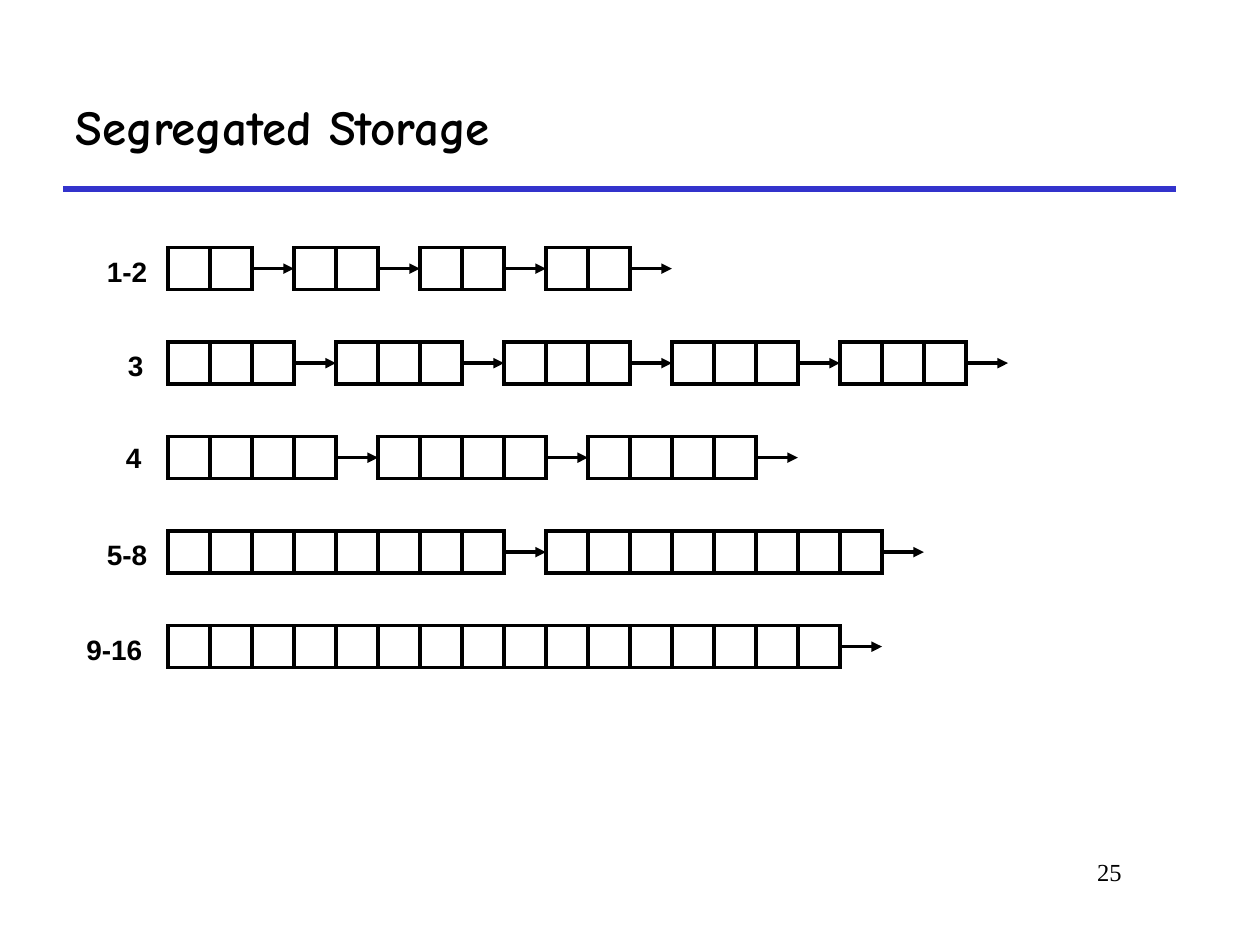
from lxml.etree import SubElement
from pptx import Presentation
from pptx.dml.color import RGBColor
from pptx.enum.shapes import MSO_CONNECTOR, MSO_SHAPE
from pptx.enum.text import MSO_ANCHOR, MSO_AUTO_SIZE, PP_ALIGN
from pptx.oxml.ns import qn
from pptx.util import Pt

BLACK = RGBColor(0x00, 0x00, 0x00)
WHITE = RGBColor(0xFF, 0xFF, 0xFF)
BLUE = RGBColor(0x33, 0x33, 0xCC)

TITLE_FONT = {"name": "Comic Neue", "size": Pt(28), "bold": True}
LABEL_FONT = {"name": "Arial", "size": Pt(16), "bold": True}
NUMBER_FONT = {"name": "Times New Roman", "size": Pt(14)}

CELL = 24
ROW_PITCH = 54
# label, label left, label width, label shift down, cells per block, blocks
SIZE_CLASSES = [
    ("1-2", 54, 37.6, 0.4, 2, 4),
    ("3", 66, 23.4, 0.4, 3, 5),
    ("4", 64.8, 23.4, -1.2, 4, 3),
    ("5-8", 54, 37.6, 0.4, 8, 2),
    ("9-16", 42.2, 46.8, 0.4, 16, 1),
]


def write(sp, text, font, align=PP_ALIGN.LEFT):
    """Put one formatted run into a shape and return its text frame."""
    tf = sp.text_frame
    p = tf.paragraphs[0]
    p.alignment = align
    r = p.add_run()
    r.text = text
    for name, value in font.items():
        setattr(r.font, name, value)
    r.font.color.rgb = BLACK
    return tf


def add_line(s, x1, y1, x2, y2, color, width):
    """Draw a straight connector without shadow."""
    line = s.shapes.add_connector(
        MSO_CONNECTOR.STRAIGHT, Pt(x1), Pt(y1), Pt(x2), Pt(y2))
    line.line.color.rgb = color
    line.line.width = Pt(width)
    SubElement(line._element.spPr, qn("a:effectLst"))
    return line


def add_title(s, left, top, width, height):
    """Place the title and the rule at its lower edge."""
    add_line(s, left, top + height, left + width, top + height, BLUE, 3)
    sp = s.shapes.title
    sp.left, sp.top, sp.width, sp.height = map(Pt, (left, top, width, height))
    tf = write(sp, "Segregated Storage", TITLE_FONT)
    tf.vertical_anchor = MSO_ANCHOR.MIDDLE
    tf.auto_size = MSO_AUTO_SIZE.NONE


def add_label(s, text, left, top, width):
    """Place the size label of one free list."""
    sp = s.shapes.add_textbox(Pt(left), Pt(top), Pt(width), Pt(26.6))
    tf = write(sp, text, LABEL_FONT)
    tf.word_wrap = False
    tf.auto_size = MSO_AUTO_SIZE.SHAPE_TO_FIT_TEXT


def add_block(s, left, top, cells):
    """Draw one block as a run of cells and return its first and last cell."""
    run = []
    for i in range(cells):
        sp = s.shapes.add_shape(
            MSO_SHAPE.RECTANGLE, Pt(left + i * CELL), Pt(top), Pt(CELL), Pt(CELL))
        sp.shadow.inherit = False
        sp.fill.solid()
        sp.fill.fore_color.rgb = WHITE
        sp.line.color.rgb = BLACK
        sp.line.width = Pt(2)
        SubElement(sp.line._get_or_add_ln(), qn("a:miter"), lim="800000")
        run.append(sp)
    return run[0], run[-1]


def add_free_list(s, left, top, cells, blocks):
    """Draw the blocks of one size class, each with an arrow to the next."""
    step = (cells + 1) * CELL
    ends = [add_block(s, left + i * step, top, cells) for i in range(blocks)]
    for i, (_, last) in enumerate(ends):
        x, y = left + (i + 1) * step, top + CELL / 2
        arrow = add_line(s, x - CELL, y, x, y, BLACK, 2)
        SubElement(arrow.line._get_or_add_ln(), qn("a:tailEnd"), type="triangle")
        arrow.begin_connect(last, 3)
        if i + 1 < blocks:
            arrow.end_connect(ends[i + 1][0], 1)


def add_storage(s, left, top):
    """Stack the free lists of all size classes."""
    for i, (text, x, width, shift, cells, blocks) in enumerate(SIZE_CLASSES):
        y = top + i * ROW_PITCH
        add_free_list(s, left, y, cells, blocks)
        add_label(s, text, x, y + shift, width)


def add_page_number(s, left, top, width, height):
    """Place the page number at the lower right."""
    sp = s.shapes.add_textbox(Pt(left), Pt(top), Pt(width), Pt(height))
    write(sp, "25", NUMBER_FONT, PP_ALIGN.RIGHT).word_wrap = True


def main():
    """Build and save the slide."""
    prs = Presentation()
    prs.slide_width, prs.slide_height = Pt(720), Pt(540)
    s = prs.slides.add_slide(prs.slide_layouts[5])
    add_title(s, 36, 36, 636, 72)
    add_storage(s, 96, 141.5)
    add_page_number(s, 546, 486, 102, 36)
    prs.save("out.pptx")


if __name__ == "__main__":
    main()
